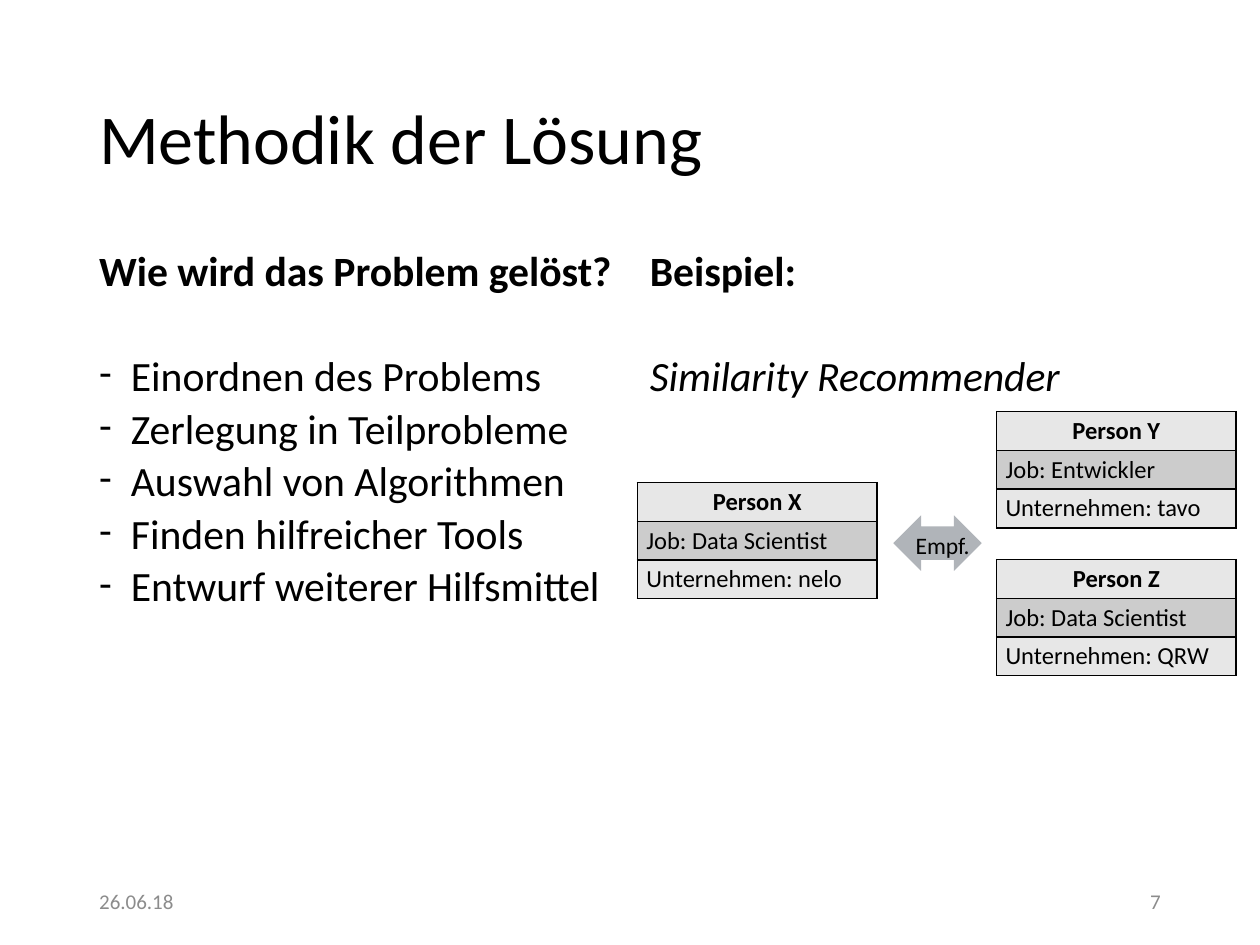
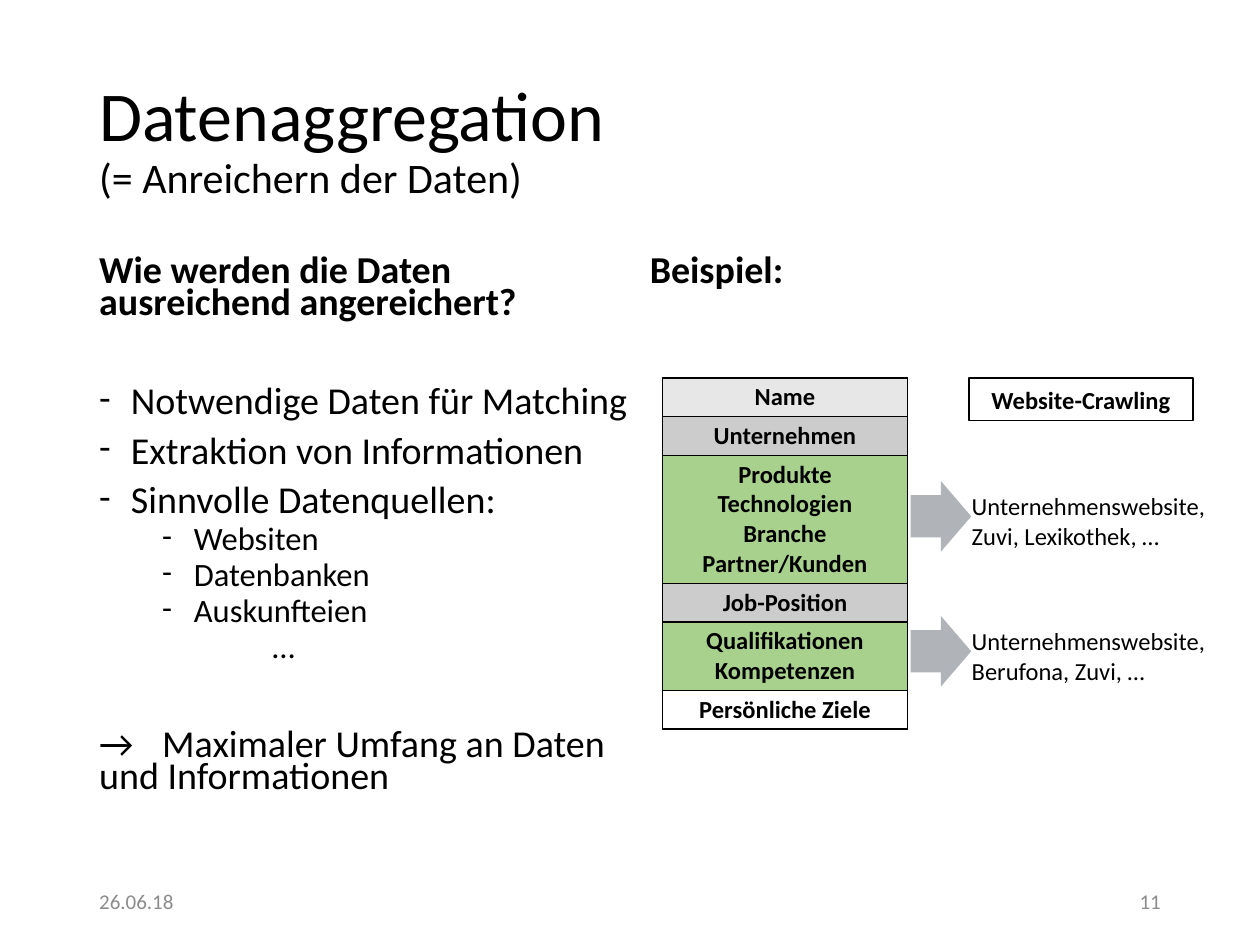
import pptx
import pptx.util
import pptx.dml.color
import pptx.enum.shapes
import pptx.enum.text
import pptx.oxml
import pptx.oxml.ns

Cm = pptx.util.Cm
Pt = pptx.util.Pt
RGBColor = pptx.dml.color.RGBColor
ALIGN = pptx.enum.text.PP_ALIGN
ANCHOR = pptx.enum.text.MSO_ANCHOR
SHAPE = pptx.enum.shapes.MSO_SHAPE

BLACK = RGBColor(0x00, 0x00, 0x00)
WHITE = RGBColor(0xFF, 0xFF, 0xFF)
MUTED = RGBColor(0x8C, 0x8C, 0x8C)
STEEL = RGBColor(0xB0, 0xB4, 0xB9)
LIGHT = RGBColor(0xE7, 0xE7, 0xE7)
SILVER = RGBColor(0xCC, 0xCC, 0xCC)
GREEN = RGBColor(0xA9, 0xD1, 0x8E)

FONT = "Calibri"
DATE = "26.06.18"
TITLE = (1.75, 1.02, 21.9, 3.68)
LEFT = (1.75, 5.08, 11.3, 12.09)
RIGHT = (12.85, 5.08, 10.8, 12.09)
FOOTER = (1.75, 17.65, 21.9, 1.02)
SPACING = 0.7
GAP = 10


def lengths(box):
    return [Cm(value) for value in box]


def blank_gap(size):
    return 2 * GAP + size * 1.22 * SPACING


def put(frame, text, size, bold=False, italic=False, color=BLACK,
        align=ALIGN.LEFT, indent=0, dash=False, gap=0, spacing=None):
    para = frame.paragraphs[0]
    if para.runs:
        para = frame.add_paragraph()
        para.space_before = Pt(gap)
    para.alignment = align
    if spacing:
        para.line_spacing = spacing
    if indent:
        props = para._p.get_or_add_pPr()
        props.set("marL", str(Cm(indent)))
        props.set("indent", str(Cm(-0.64) if dash else 0))
        if dash:
            for tag, key, value in (("buFont", "typeface", FONT), ("buChar", "char", "-")):
                props.append(pptx.oxml.parse_xml(
                    f'<a:{tag} {pptx.oxml.ns.nsdecls("a")} {key}="{value}"/>'))
    para.add_run().text = text
    font = para.font
    font.name, font.size, font.bold, font.italic = FONT, Pt(size), bold, italic
    font.color.rgb = color


def frame_at(slide, box, anchor=ANCHOR.TOP, wrap=True):
    frame = slide.shapes.add_textbox(*lengths(box)).text_frame
    frame.word_wrap = wrap
    frame.vertical_anchor = anchor
    return frame


def add_page(deck, title, number, subtitle=None):
    slide = deck.slides.add_slide(deck.slide_layouts[6])
    frame = frame_at(slide, TITLE, ANCHOR.MIDDLE)
    put(frame, title, 40, spacing=0.9)
    if subtitle:
        put(frame, subtitle, 24, spacing=0.9)
    add_footer(slide, FOOTER, number)
    return slide


def add_footer(slide, box, number):
    left, top, width, height = box
    part = 5.72
    for x, text, align in ((left, DATE, ALIGN.LEFT),
                           (left + width - part, str(number), ALIGN.RIGHT)):
        frame = frame_at(slide, (x, top, part, height), ANCHOR.MIDDLE)
        put(frame, text, 12, color=MUTED, align=align)


def add_body(slide, box, size, heading, points=()):
    frame = frame_at(slide, box)
    put(frame, heading, size, bold=True, spacing=SPACING)
    for index, text in enumerate(points):
        put(frame, text, size, indent=0.64, dash=True, spacing=SPACING,
            gap=GAP if index else blank_gap(size))
    return frame


def add_border(cell):
    props = cell._tc.get_or_add_tcPr()
    for side in "LRTB":
        props.append(pptx.oxml.parse_xml(
            f'<a:ln{side} {pptx.oxml.ns.nsdecls("a")} w="{Pt(1)}"><a:solidFill>'
            f'<a:srgbClr val="{BLACK}"/></a:solidFill></a:ln{side}>'))


def add_grid(slide, left, top, width, rows):
    heights = [0.18 + 0.6 * len(lines) for lines, *_ in rows]
    shape = slide.shapes.add_table(
        len(rows), 1, *lengths((left, top, width, sum(heights))))
    table = shape.table
    table.first_row = table.horz_banding = False
    for index, (lines, fill, bold, align) in enumerate(rows):
        table.rows[index].height = Cm(heights[index])
        cell = table.cell(index, 0)
        cell.margin_left = cell.margin_right = Cm(0.18)
        cell.margin_top = cell.margin_bottom = Cm(0.09)
        add_border(cell)
        cell.fill.solid()
        cell.fill.fore_color.rgb = fill
        for line in lines:
            put(cell.text_frame, line, 14, bold=bold, align=align)


def add_arrow(slide, kind, box):
    arrow = slide.shapes.add_shape(kind, *lengths(box))
    arrow.shadow.inherit = False
    arrow.adjustments[0], arrow.adjustments[1] = 0.6, 0.5
    arrow.fill.solid()
    arrow.fill.fore_color.rgb = STEEL
    arrow.line.fill.background()


def add_people(slide, left, top):
    people = (
        (0, 1.43, "Person X", "Data Scientist", "nelo"),
        (7.24, 0, "Person Y", "Entwickler", "tavo"),
        (7.24, 2.98, "Person Z", "Data Scientist", "QRW"),
    )
    for x, y, name, job, firm in people:
        add_grid(slide, left + x, top + y, 4.83, (
            ([name], LIGHT, True, ALIGN.CENTER),
            ([f"Job: {job}"], SILVER, False, ALIGN.LEFT),
            ([f"Unternehmen: {firm}"], LIGHT, False, ALIGN.LEFT),
        ))
    add_arrow(slide, SHAPE.LEFT_RIGHT_ARROW, (left + 5.16, top + 2.09, 1.78, 1.12))
    label = frame_at(slide, (left + 5.36, top + 2.27, 1.63, 0.84), wrap=False)
    put(label, "Empf.", 13.5)


def add_crawl(slide, left, top):
    fields = (
        (["Name"], LIGHT),
        (["Unternehmen"], SILVER),
        (["Produkte", "Technologien", "Branche", "Partner/Kunden"], GREEN),
        (["Job-Position"], SILVER),
        (["Qualifikationen", "Kompetenzen"], GREEN),
        (["Persönliche Ziele"], WHITE),
    )
    add_grid(slide, left, top, 4.93,
             [(lines, fill, True, ALIGN.CENTER) for lines, fill in fields])
    for y, sites in ((2.08, "Zuvi, Lexikothek, …"), (4.8, "Berufona, Zuvi, …")):
        add_arrow(slide, SHAPE.RIGHT_ARROW, (left + 5, top + y, 1.22, 1.42))
        frame = frame_at(slide, (left + 5.98, top + y + 0.08, 5.26, 1.45), wrap=False)
        put(frame, "Unternehmenswebsite,", 14)
        put(frame, sites, 14)
    badge = slide.shapes.add_shape(
        SHAPE.RECTANGLE, *lengths((left + 6.17, top, 4.52, 0.86)))
    badge.shadow.inherit = False
    badge.fill.solid()
    badge.fill.fore_color.rgb = WHITE
    badge.line.color.rgb = BLACK
    badge.line.width = Pt(1)
    put(badge.text_frame, "Website-Crawling", 14, bold=True, align=ALIGN.CENTER)


def add_method(deck):
    slide = add_page(deck, "Methodik der Lösung", 7)
    size = 23.8
    add_body(slide, LEFT, size, "Wie wird das Problem gelöst?", (
        "Einordnen des Problems",
        "Zerlegung in Teilprobleme",
        "Auswahl von Algorithmen",
        "Finden hilfreicher Tools",
        "Entwurf weiterer Hilfsmittel",
    ))
    frame = add_body(slide, RIGHT, size, "Beispiel:")
    put(frame, "Similarity Recommender", size, italic=True,
        gap=blank_gap(size), spacing=SPACING)
    add_people(slide, 12.85, 8.3)


def add_data(deck):
    slide = add_page(deck, "Datenaggregation", 11, "(= Anreichern der Daten)")
    size = 21.7
    frame = add_body(slide, LEFT, size, "Wie werden die Daten ausreichend angereichert?", (
        "Notwendige Daten für Matching",
        "Extraktion von Informationen",
        "Sinnvolle Datenquellen:",
    ))
    for text in ("Websiten", "Datenbanken", "Auskunfteien"):
        put(frame, text, 18.6, indent=1.91, dash=True, gap=5, spacing=SPACING)
    put(frame, "…", 18.6, indent=3.49, gap=5, spacing=SPACING)
    put(frame, "→\tMaximaler Umfang an Daten und Informationen", size,
        gap=blank_gap(size), spacing=SPACING)
    add_body(slide, RIGHT, size, "Beispiel:")
    add_crawl(slide, 13.36, 7.62)


def main():
    deck = pptx.Presentation()
    deck.slide_width, deck.slide_height = Cm(25.4), Cm(19.05)
    add_method(deck)
    add_data(deck)
    deck.save("out.pptx")


if __name__ == "__main__":
    main()
